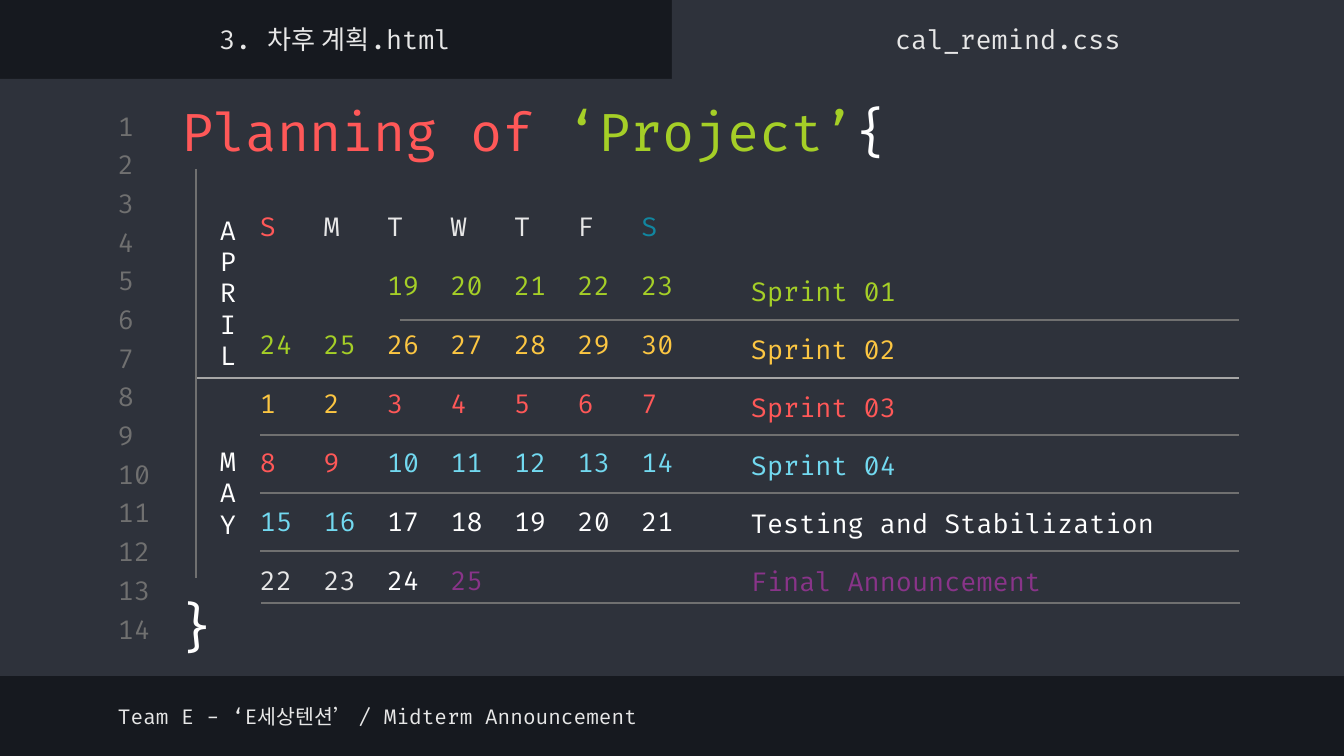
"""Builds the project planning slide: a code-editor look with a sprint calendar."""
import lxml.etree
import pptx
import pptx.dml.color
import pptx.enum.shapes
import pptx.enum.text
import pptx.oxml.ns
import pptx.util

W, H = 1344, 756
MARGIN = 13
FONT = "Fira Code"
NO_GRID_STYLE = "{2D5ABB26-0587-4C30-8999-92F81FD0307C}"
RED, GREEN, YELLOW, CYAN = "FF5858", "A5CF27", "FCC642", "72D9F0"
WHITE, LIGHT, PURPLE, TEAL = "FFFFFF", "E7E7E7", "893489", "1186A0"
DARK, PANEL, GREY, SILVER = "16191F", "2E323B", "707070", "A6A6A6"

PANELS = [(0, 79, W, 597), (672, 0, 672, 87)]
TITLE = [("Planning of ", RED), ("‘Project’", GREEN), ("{", WHITE)]
TABS = [("3. 차후 계획.html", -1), ("cal_remind.css", 672)]
FOOTER = "Team E - ‘E세상텐션’ / Midterm Announcement"
LINE_COUNT = 14

WEEKDAYS = [("S", RED), ("M", LIGHT), ("T", LIGHT), ("W", LIGHT),
            ("T", LIGHT), ("F", LIGHT), ("S", TEAL)]
DAYS = [*range(19, 31), *range(1, 26)]
DAY_COLORS = ([GREEN] * 7 + [YELLOW] * 7 + [RED] * 7 + [CYAN] * 7
              + [WHITE] * 5 + [LIGHT] * 2 + [WHITE, PURPLE])
FIRST_DAY_COLUMN = 2
MONTHS = [("APRIL", 211), ("MAY", 411)]
PHASES = [("Sprint 01", GREEN), ("Sprint 02", YELLOW), ("Sprint 03", RED),
          ("Sprint 04", CYAN), ("Testing and Stabilization", WHITE),
          ("Final Announcement", PURPLE)]
RULES = [(400, 320, 1239, GREY), (196, 378, 1239, SILVER), (260, 435, 1239, GREY),
         (260, 493, 1239, GREY), (260, 551, 1239, GREY), (261, 603, 1240, GREY)]


def px(n):
    return pptx.util.Emu(round(n * 914400 / 134.4))


def rgb(color):
    return pptx.dml.color.RGBColor.from_string(color)


def format_paragraph(p, size, color, align="LEFT"):
    p.font.name = FONT
    p.font.size = pptx.util.Pt(size)
    p.font.color.rgb = rgb(color)
    p.alignment = getattr(pptx.enum.text.PP_ALIGN, align)


def format_frame(tf, anchor="MIDDLE"):
    tf.word_wrap = True
    tf.auto_size = pptx.enum.text.MSO_AUTO_SIZE.NONE
    tf.vertical_anchor = getattr(pptx.enum.text.MSO_ANCHOR, anchor)
    tf.margin_left = tf.margin_right = tf.margin_top = tf.margin_bottom = px(MARGIN)


def place(sp, x, y, w, h):
    sp.left, sp.top, sp.width, sp.height = px(x), px(y), px(w), px(h)


def add_text(shapes, text, box, color, size=14, align="LEFT", anchor="MIDDLE"):
    sp = shapes.add_textbox(*map(px, box))
    tf = sp.text_frame
    format_frame(tf, anchor)
    tf.text = text
    for p in tf.paragraphs:
        format_paragraph(p, size, color, align)
    return sp


def add_line(shapes, x1, y1, x2, y2, color):
    line = shapes.add_connector(pptx.enum.shapes.MSO_CONNECTOR.STRAIGHT,
                                px(x1), px(y1), px(x2), px(y2))
    line.line.color.rgb = rgb(color)
    line.line.width = pptx.util.Pt(0.75)
    lxml.etree.SubElement(line._element.spPr, pptx.oxml.ns.qn("a:effectLst"))


def add_panel(shapes, box):
    sp = shapes.add_shape(pptx.enum.shapes.MSO_SHAPE.RECTANGLE, *map(px, box))
    sp.shadow.inherit = False
    sp.fill.solid()
    sp.fill.fore_color.rgb = rgb(PANEL)
    sp.line.fill.background()


def fill_title(sp):
    place(sp, 168, 86, 1071, 79)
    format_frame(sp.text_frame, "TOP")
    p = sp.text_frame.paragraphs[0]
    format_paragraph(p, 28, WHITE)
    for text, color in TITLE:
        r = p.add_run()
        r.text = text
        r.font.color.rgb = rgb(color)


def fill_tab(sp, text, x):
    place(sp, x, 13, 672, 52)
    format_frame(sp.text_frame)
    sp.text_frame.text = text
    p = sp.text_frame.paragraphs[0]
    format_paragraph(p, 14, LIGHT, "CENTER")
    p.space_before = pptx.util.Pt(0)
    pPr = p._p.get_or_add_pPr()
    pPr.set("marL", "0")
    pPr.set("indent", "0")
    bullet = lxml.etree.Element(pptx.oxml.ns.qn("a:buNone"))
    pPr.find(pptx.oxml.ns.qn("a:defRPr")).addprevious(bullet)


def add_calendar(shapes):
    days = [(str(day), color) for day, color in zip(DAYS, DAY_COLORS)]
    entries = WEEKDAYS + [("", LIGHT)] * FIRST_DAY_COLUMN + days
    columns = len(WEEKDAYS)
    entries += [("", LIGHT)] * (-len(entries) % columns)
    rows = len(entries) // columns
    table = shapes.add_table(rows, columns, px(247), px(199), px(445), px(59 * rows)).table
    table.first_row = table.horz_banding = False
    table._tbl.tblPr[0].text = NO_GRID_STYLE
    for row in table.rows:
        row.height = px(59)
    for cell, (text, color) in zip(table.iter_cells(), entries):
        cell.fill.background()
        cell.vertical_anchor = pptx.enum.text.MSO_ANCHOR.MIDDLE
        cell.margin_left = cell.margin_right = px(MARGIN)
        cell.margin_top = cell.margin_bottom = px(MARGIN)
        cell.text = text
        p = cell.text_frame.paragraphs[0]
        format_paragraph(p, 14, color)
        if not text:
            lxml.etree.SubElement(p._p, pptx.oxml.ns.qn("a:endParaRPr"), sz="1400")


def main():
    prs = pptx.Presentation()
    prs.slide_width, prs.slide_height = px(W), px(H)
    slide = prs.slides.add_slide(prs.slide_layouts[3])
    slide.background.fill.solid()
    slide.background.fill.fore_color.rgb = rgb(DARK)
    shapes = slide.shapes
    title, *tabs = list(slide.placeholders)

    for box in PANELS:
        add_panel(shapes, box)
    for i in range(LINE_COUNT):
        y = 110 + i * 503 // (LINE_COUNT - 1)
        add_text(shapes, str(i + 1), (105, y, 63, 32), GREY)

    fill_title(title)
    for sp, (text, x) in zip(tabs, TABS):
        fill_tab(sp, text, x)
    for sp in (title, *tabs):
        shapes._spTree.append(sp._element)

    add_calendar(shapes)
    for x1, y, x2, color in RULES:
        add_line(shapes, x1, y, x2, y, color)
    for i, (text, color) in enumerate(PHASES):
        add_text(shapes, text, (738, 274 + 58 * i, 501, 34), color)

    closing = shapes.add_group_shape().shapes
    brace = add_text(closing, "}", (160, 581, 74, 90), WHITE, 28, "CENTER", "TOP")
    brace.text_frame.auto_size = pptx.enum.text.MSO_AUTO_SIZE.SHAPE_TO_FIT_TEXT
    add_line(closing, 196, 169, 196, 578, GREY)

    for month, y in MONTHS:
        add_text(shapes, "\n".join(month), (207, y, 42, 163), WHITE)
    add_text(shapes, FOOTER, (105, 690, 715, 52), LIGHT, 11)
    prs.save("out.pptx")


if __name__ == "__main__":
    main()
